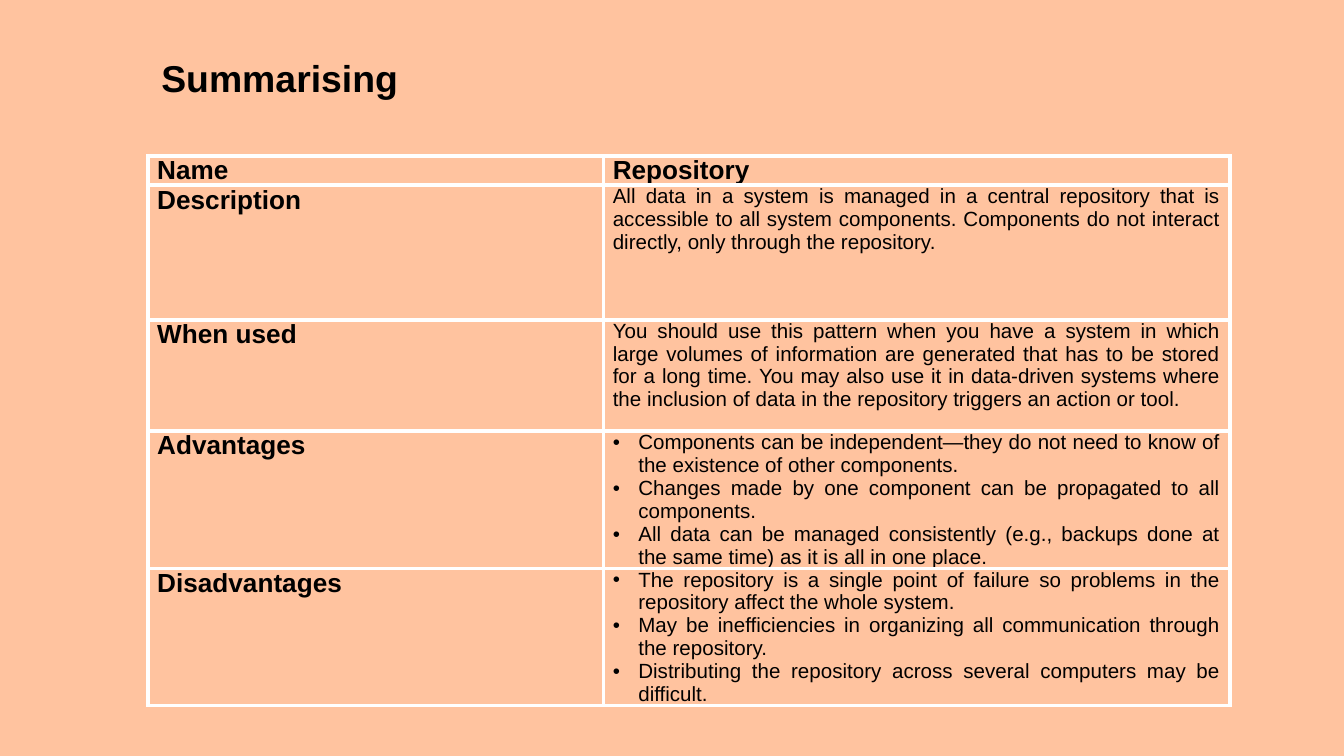
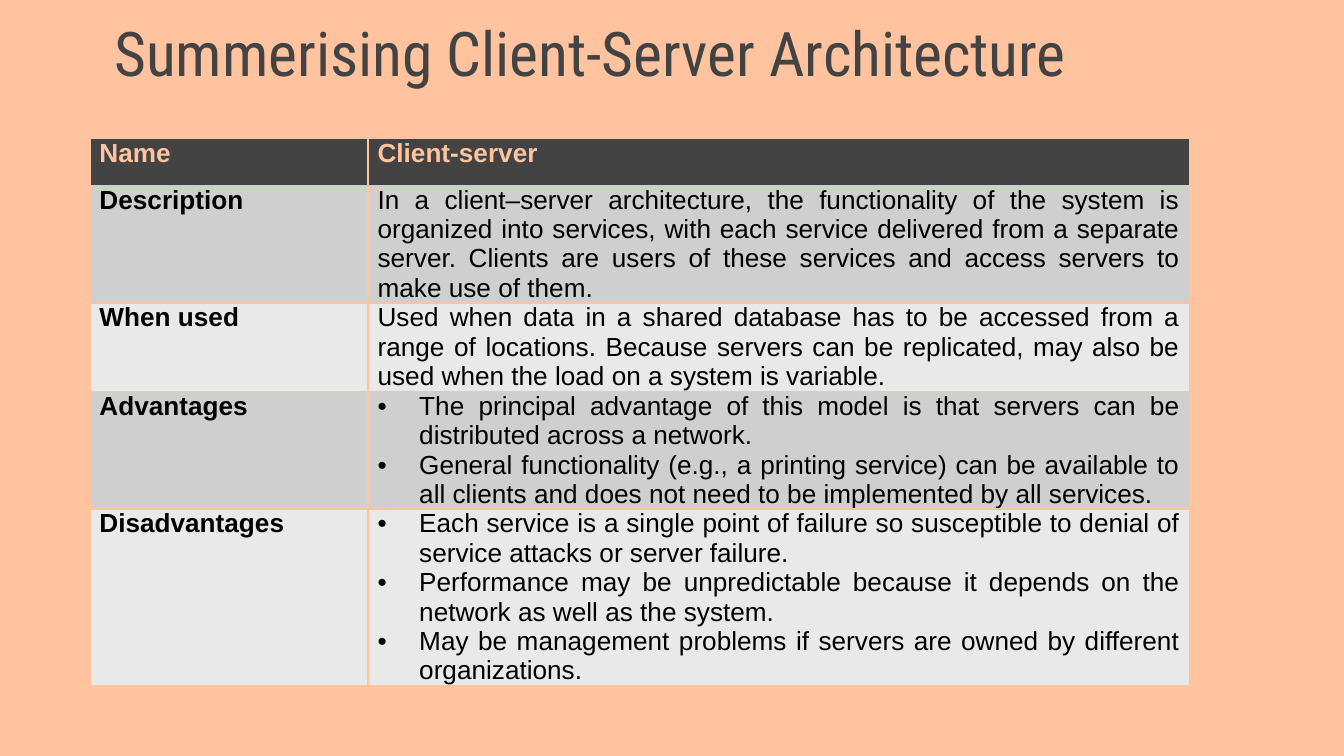
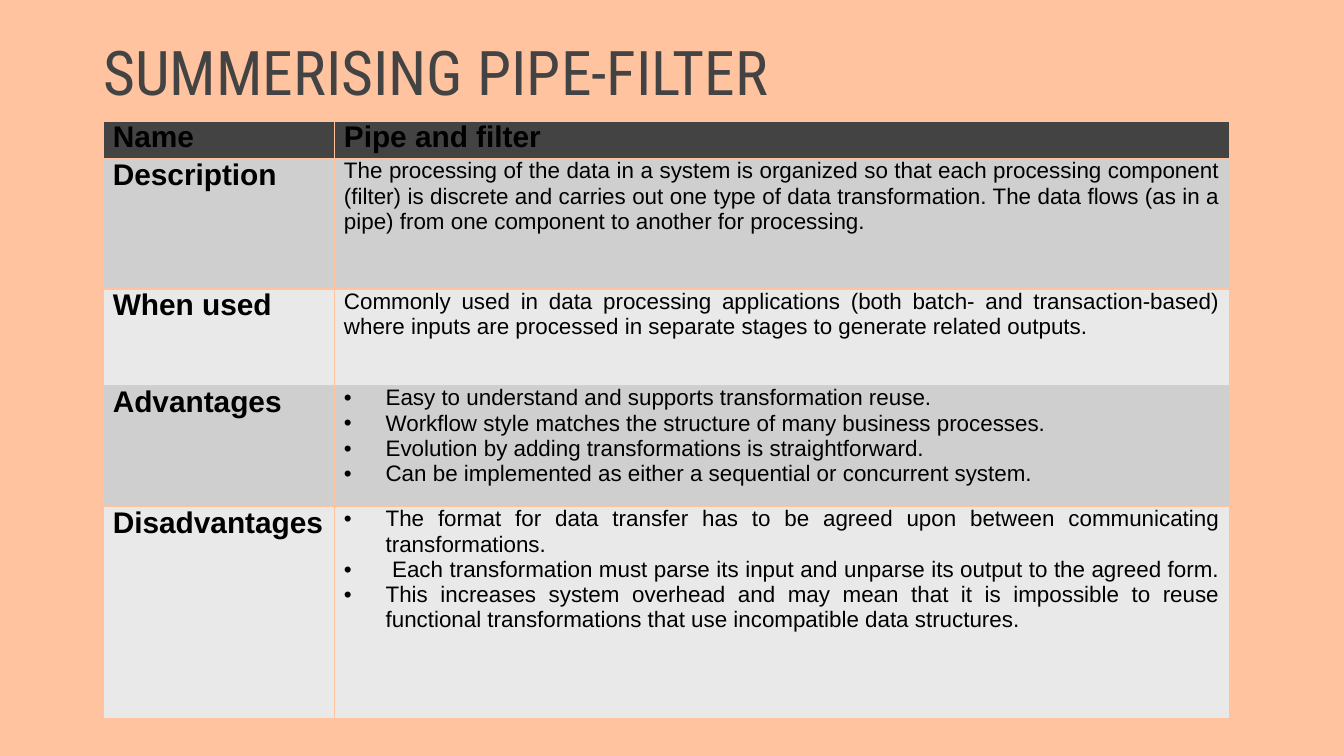
from dataclasses import dataclass
from lxml.etree import SubElement
from pptx import Presentation
from pptx.dml.color import RGBColor
from pptx.enum.text import MSO_ANCHOR, MSO_AUTO_SIZE, PP_ALIGN
from pptx.oxml.ns import qn
from pptx.util import Inches, Pt


@dataclass(frozen=True)
class Theme:
    peach: str = "FFC39F"
    dark: str = "434343"
    black: str = "000000"
    white: str = "FFFFFF"
    bands: tuple = ("CFCFCF", "E9E9E9")
    text_font: str = "Arial"
    title_font: str = "Roboto Condensed"
    title_size: int = 33
    small_title_size: int = 20


THEME = Theme()
TITLE_ONLY = 5
LABELS = ("Name", "Description", "When used", "Advantages", "Disadvantages")


@dataclass(frozen=True)
class TableStyle:
    label_size: int
    body_size: int
    indent: float
    header_color: str = THEME.black
    border_color: str = THEME.peach
    border_width: float = 1
    filled: bool = True


REPOSITORY = (
    "Repository",
    "All data in a system is managed in a central repository that is accessible to all "
    "system components. Components do not interact directly, only through the repository.",
    "You should use this pattern when you have a system in which large volumes of "
    "information are generated that has to be stored for a long time. You may also use it "
    "in data-driven systems where the inclusion of data in the repository triggers an "
    "action or tool.",
    [
        "Components can be independent—they do not need to know of the existence of other "
        "components.",
        "Changes made by one component can be propagated to all components.",
        "All data can be managed consistently (e.g., backups done at the same time) as it "
        "is all in one place.",
    ],
    [
        "The repository is a single point of failure so problems in the repository affect "
        "the whole system.",
        "May be inefficiencies in organizing all communication through the repository.",
        "Distributing the repository across several computers may be difficult.",
    ],
)

CLIENT_SERVER = (
    "Client-server",
    "In a client–server architecture, the functionality of the system is organized into "
    "services, with each service delivered from a separate server. Clients are users of "
    "these services and access servers to make use of them.",
    "Used when data in a shared database has to be accessed from a range of locations. "
    "Because servers can be replicated, may also be used when the load on a system is "
    "variable.",
    [
        "The principal advantage of this model is that servers can be distributed across "
        "a network.",
        "General functionality (e.g., a printing service) can be available to all clients "
        "and does not need to be implemented by all services.",
    ],
    [
        "Each service is a single point of failure so susceptible to denial of service "
        "attacks or server failure.",
        "Performance may be unpredictable because it depends on the network as well as "
        "the system.",
        "May be management problems if servers are owned by different organizations.",
    ],
)

PIPE_AND_FILTER = (
    "Pipe and filter",
    "The processing of the data in a system is organized so that each processing component "
    "(filter) is discrete and carries out one type of data transformation. The data flows "
    "(as in a pipe) from one component to another for processing.",
    "Commonly used in data processing applications (both batch- and transaction-based) "
    "where inputs are processed in separate stages to generate related outputs.",
    [
        "Easy to understand and supports transformation reuse.",
        "Workflow style matches the structure of many business processes.",
        "Evolution by adding transformations is straightforward.",
        "Can be implemented as either a sequential or concurrent system.",
    ],
    [
        "The format for data transfer has to be agreed upon between communicating "
        "transformations.",
        " Each transformation must parse its input and unparse its output to the agreed form. ",
        "This increases system overhead and may mean that it is impossible to reuse "
        "functional transformations that use incompatible data structures.",
    ],
)


def set_attributes(target, values):
    for name, value in values.items():
        setattr(target, name, value)


def write_run(paragraph, text, font_name, size, color, bold=False):
    run = paragraph.add_run()
    run.text = text
    set_attributes(run.font, {"name": font_name, "size": Pt(size), "bold": bold})
    run.font.color.rgb = RGBColor.from_string(color)


def add_titled_slide(presentation, text, box, font_name=THEME.title_font,
                     size=THEME.title_size, color=THEME.dark, bold=False, margins=(0, 0)):
    """Add a slide and place its title; margins are horizontal, then vertical."""
    slide = presentation.slides.add_slide(presentation.slide_layouts[TITLE_ONLY])
    title = slide.shapes.title
    set_attributes(title, dict(zip(("left", "top", "width", "height"), map(Inches, box))))
    horizontal, vertical = map(Inches, margins)
    set_attributes(title.text_frame, {
        "margin_left": horizontal, "margin_right": horizontal,
        "margin_top": vertical, "margin_bottom": vertical,
        "vertical_anchor": MSO_ANCHOR.TOP, "word_wrap": True,
        "auto_size": MSO_AUTO_SIZE.NONE,
    })
    paragraph = title.text_frame.paragraphs[0]
    paragraph.alignment = PP_ALIGN.LEFT
    write_run(paragraph, text, font_name, size, color, bold)
    return slide


def add_bullet(paragraph, indent):
    properties = paragraph._p.get_or_add_pPr()
    properties.set("marL", str(Inches(indent)))
    properties.set("indent", str(-Inches(indent)))
    bullet_color = SubElement(properties, qn("a:buClr"))
    SubElement(bullet_color, qn("a:srgbClr"), val=THEME.black)
    SubElement(properties, qn("a:buFont"), typeface=THEME.text_font)
    SubElement(properties, qn("a:buChar"), char="•")


def set_borders(cell, color, width):
    properties = cell._tc.get_or_add_tcPr()
    for side in ("lnL", "lnR", "lnT", "lnB"):
        line = SubElement(properties, qn(f"a:{side}"), w=str(Pt(width)))
        SubElement(SubElement(line, qn("a:solidFill")), qn("a:srgbClr"), val=color)


def fill_cell(cell, row, style):
    if not style.filled:
        cell.fill.background()
        return
    cell.fill.solid()
    color = THEME.dark if row == 0 else THEME.bands[(row - 1) % 2]
    cell.fill.fore_color.rgb = RGBColor.from_string(color)


def write_cell(cell, content, row, is_label, style):
    """Write a string as one paragraph, or a list as bulleted paragraphs."""
    set_attributes(cell, {
        "margin_left": Inches(0.07), "margin_right": Inches(0.07),
        "margin_top": 0, "margin_bottom": 0, "vertical_anchor": MSO_ANCHOR.TOP,
    })
    bold = is_label or row == 0
    size = style.label_size if bold else style.body_size
    color = style.header_color if row == 0 else THEME.black
    bulleted = isinstance(content, list)
    for index, text in enumerate(content if bulleted else [content]):
        frame = cell.text_frame
        paragraph = frame.add_paragraph() if index else frame.paragraphs[0]
        paragraph.alignment = PP_ALIGN.JUSTIFY
        if bulleted:
            add_bullet(paragraph, style.indent)
        write_run(paragraph, text, THEME.text_font, size, color, bold)


def add_summary_table(slide, position, widths, heights, contents, style):
    left, top = position
    frame = slide.shapes.add_table(
        len(LABELS), 2, Inches(left), Inches(top),
        Inches(sum(widths)), Inches(sum(heights)))
    table = frame.table
    table.horz_banding = False
    for column, width in zip(table.columns, widths):
        column.width = Inches(width)
    for row, (height, *texts) in enumerate(zip(heights, LABELS, contents)):
        table.rows[row].height = Inches(height)
        for column, content in enumerate(texts):
            cell = table.cell(row, column)
            write_cell(cell, content, row, column == 0, style)
            set_borders(cell, style.border_color, style.border_width)
            fill_cell(cell, row, style)


def main():
    presentation = Presentation()
    slide_width = Inches(10)
    set_attributes(presentation, {
        "slide_width": slide_width, "slide_height": slide_width * 9 // 16})
    background = presentation.slide_master.background.fill
    background.solid()
    background.fore_color.rgb = RGBColor.from_string(THEME.peach)

    slide = add_titled_slide(
        presentation, "Summarising", (1.1, 0.36, 4.79, 0.44), THEME.text_font,
        THEME.small_title_size, THEME.black, bold=True, margins=(0.1, 0.05))
    add_summary_table(
        slide, (1.1, 1.16), (3.39, 4.66), (0.21, 1, 0.83, 0.97, 0.97), REPOSITORY,
        TableStyle(14, 11, 0.19, border_color=THEME.white, border_width=2.25,
                   filled=False))

    slide = add_titled_slide(
        presentation, "Summerising Client-Server Architecture", (0.85, 0.11, 7.52, 1.13))
    add_summary_table(
        slide, (0.67, 1.03), (2.07, 6.11), (0.35, 0.87, 0.66, 0.87, 1.31), CLIENT_SERVER,
        TableStyle(14, 14, 0.31, header_color=THEME.peach))

    slide = add_titled_slide(
        presentation, "SUMMERISING PIPE-FILTER", (0.77, 0.25, 6.62, 1.13))
    add_summary_table(
        slide, (0.77, 0.9), (1.72, 6.66), (0.28, 0.97, 0.72, 0.9, 1.58), PIPE_AND_FILTER,
        TableStyle(16, 12, 0.31))

    presentation.save("out.pptx")


if __name__ == "__main__":
    main()
